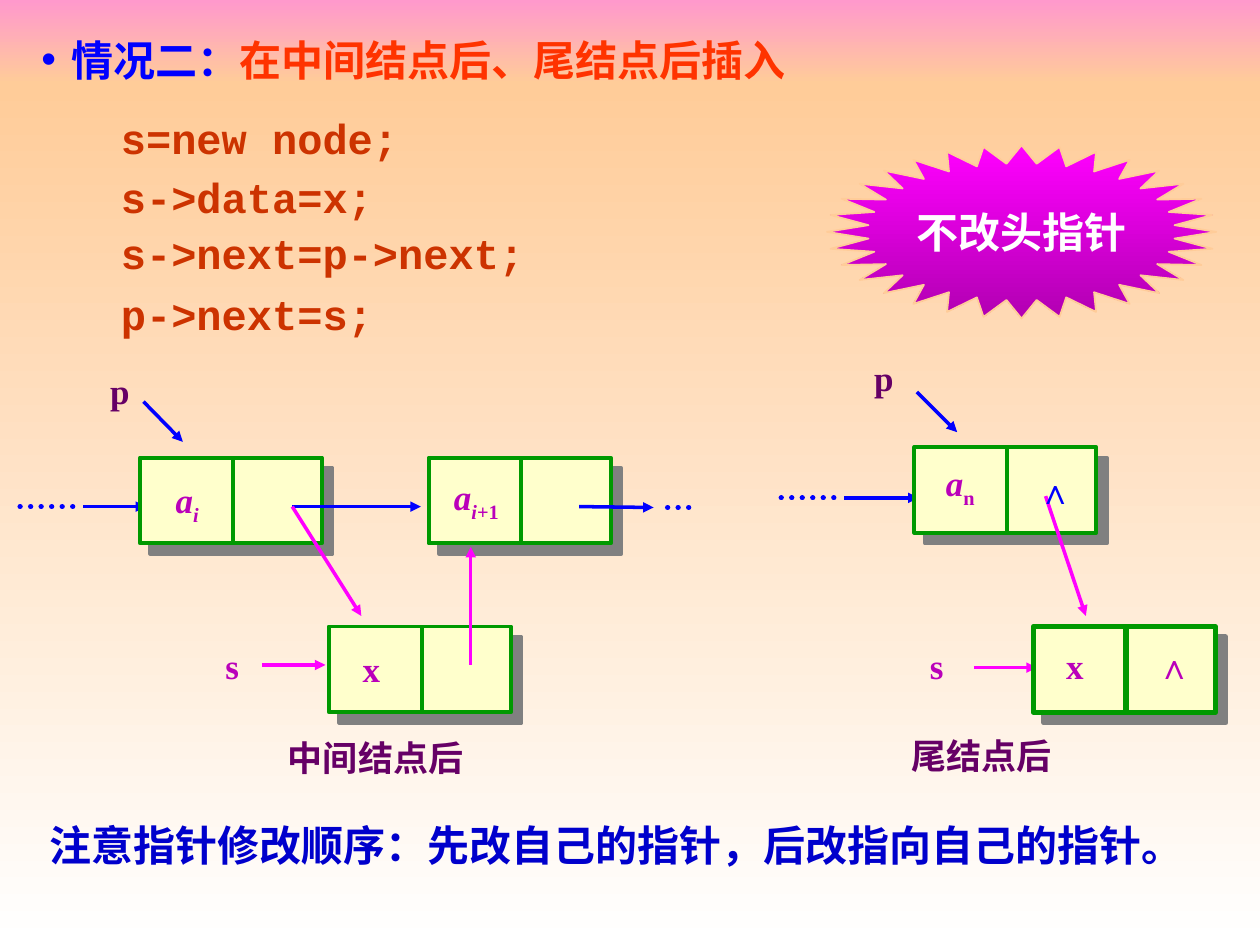
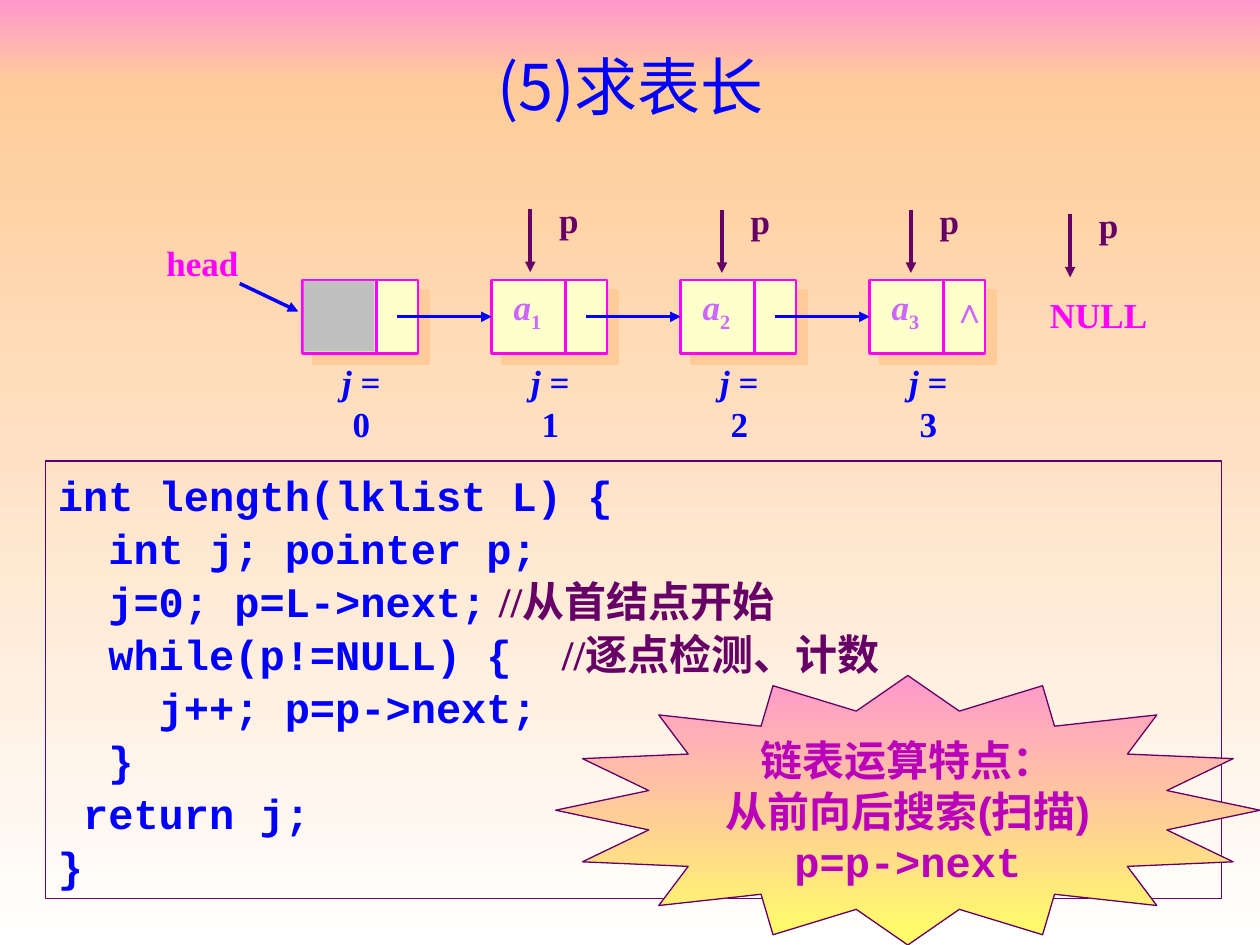
from lxml.etree import SubElement
from pptx import Presentation
from pptx.dml.color import RGBColor
from pptx.enum.dml import MSO_LINE
from pptx.enum.shapes import MSO_CONNECTOR, MSO_SHAPE as SHAPE
from pptx.enum.text import MSO_ANCHOR as ANCHOR, PP_ALIGN as ALIGN
from pptx.oxml.ns import qn
from pptx.util import Pt

# Colours
PINK = RGBColor(0xFF, 0x99, 0xCC)
PEACH = RGBColor(0xFF, 0xCC, 0x99)
WHITE = RGBColor(0xFF, 0xFF, 0xFF)
CREAM = RGBColor(0xFF, 0xFF, 0xCC)
YELLOW = RGBColor(0xFF, 0xFF, 0x66)
BLUE = RGBColor(0x00, 0x00, 0xFF)
DEEP_BLUE = RGBColor(0x00, 0x00, 0xCC)
RED = RGBColor(0xFF, 0x33, 0x00)
BRICK = RGBColor(0xCC, 0x33, 0x00)
GREEN = RGBColor(0x00, 0x99, 0x00)
MAGENTA = RGBColor(0xFF, 0x00, 0xFF)
DARK_MAGENTA = RGBColor(0xB2, 0x00, 0xB2)
PURPLE = RGBColor(0xBA, 0x00, 0xBA)
PLUM = RGBColor(0x66, 0x00, 0x66)
LILAC = RGBColor(0xCC, 0x66, 0xFF)
GREY = RGBColor(0x80, 0x80, 0x80)
SILVER = RGBColor(0xC0, 0xC0, 0xC0)

# Text styles: font, size, bold, italic, subscript
CJK = "Noto Sans CJK SC"
SERIF = "Times New Roman"
STYLES = {
    "title": (CJK, 36, False, False, False),
    "heading": ("Arial", 24, True, False, False),
    "code": ("Courier New", 24, True, False, False),
    "remark": (SERIF, 24, True, False, False),
    "label": (SERIF, 20, True, False, False),
    "variable": (SERIF, 20, True, True, False),
    "index": (SERIF, 20, True, False, True),
    "variable index": (SERIF, 20, True, True, True),
}


def draw_shape(slide, kind, left, top, width, height, fill=None, edge=None, weight=1, shadow=None):
    """A pair of colours as fill gives a gradient from top to bottom."""
    shape = slide.shapes.add_shape(kind, Pt(left), Pt(top), Pt(width), Pt(height))
    shape.shadow.inherit = False
    if fill is None:
        shape.fill.background()
    elif isinstance(fill, list):
        shape.fill.gradient()
        shape.fill.gradient_angle = 270
        for stop, colour in zip(shape.fill.gradient_stops, fill):
            stop.color.rgb = colour
    else:
        shape.fill.solid()
        shape.fill.fore_color.rgb = fill
    if edge is None:
        shape.line.fill.background()
    else:
        shape.line.color.rgb = edge
        shape.line.width = Pt(weight)
    if shadow is not None:
        effects = shape._element.spPr.find(qn("a:effectLst"))
        cast = SubElement(effects, qn("a:outerShdw"), blurRad="0", dist=str(Pt(8.5)),
                          dir="2700000", algn="ctr", rotWithShape="0")
        SubElement(cast, qn("a:srgbClr"), val=str(shadow))
    return shape


def draw_line(slide, x1, y1, x2, y2, colour, kind="arrow", weight=2):
    line = slide.shapes.add_connector(MSO_CONNECTOR.STRAIGHT, Pt(x1), Pt(y1), Pt(x2), Pt(y2))
    line.line.color.rgb = colour
    line.line.width = Pt(weight)
    properties = line._element.spPr
    outline = properties.find(qn("a:ln"))
    if kind == "dots":
        line.line.dash_style = MSO_LINE.ROUND_DOT
        outline.set("cap", "rnd")
    elif kind == "arrow":
        SubElement(outline, qn("a:tailEnd"), type="triangle")
    SubElement(properties, qn("a:effectLst"))
    return line


# Both slides with their background bands
deck = Presentation()
deck.slide_width, deck.slide_height = Pt(720), Pt(540)
insertion, length = [deck.slides.add_slide(deck.slide_layouts[6]) for _ in range(2)]
for slide in (insertion, length):
    draw_shape(slide, SHAPE.RECTANGLE, 0, 0, 720, 48, [PINK, PEACH])
    draw_shape(slide, SHAPE.RECTANGLE, 0, 48, 720, 492, [PEACH, WHITE])

# Insertion: incoming pointers, which run under the nodes
for x1, x2, y, colour in [(47.5, 83.5, 289.5, BLUE), (482.5, 525, 284.5, BLUE),
                          (150, 186, 380, MAGENTA), (556.5, 592.5, 381.5, MAGENTA)]:
    draw_line(insertion, x1, y, x2, y, colour)
for x1, x2, y in [(11.5, 42.5, 289.5), (381.5, 399.5, 290), (476.5, 440.5, 284.5)]:
    draw_line(insertion, x1, y, x2, y, BLUE, "dots", 3)

# Insertion: nodes of a data cell and a pointer cell
for left, top, weight in [(80, 261.5, 2.25), (245, 261.5, 2.25), (188, 358, 2.25),
                          (522.5, 255.5, 2.25), (590.5, 358, 3)]:
    for offset, width in [(0, 53), (53, 51)]:
        draw_shape(insertion, SHAPE.RECTANGLE, left + offset, top, width, 49,
                   CREAM, GREEN, weight, GREY)

# Insertion: outgoing pointers
for x1, y1, x2, y2, colour in [
    (167, 289.5, 240.5, 289.5, BLUE),
    (331, 289.5, 373.5, 290, BLUE),
    (82, 229.5, 104.5, 252.5, BLUE),
    (524, 224, 547, 247, BLUE),
    (269, 380, 269, 312.5, MAGENTA),
    (167, 289.5, 206.5, 352, MAGENTA),
    (597.5, 283.5, 620.5, 352, MAGENTA),
]:
    draw_line(insertion, x1, y1, x2, y2, colour)

head_note = draw_shape(insertion, SHAPE.STAR_32_POINT, 472.5, 83, 222.5, 99,
                       [MAGENTA, DARK_MAGENTA], PEACH)
head_note.adjustments[0] = 0.395

# Labels: slide, left, top, width, height, alignment, runs
LEFT, CENTER = ALIGN.LEFT, ALIGN.CENTER
labels = [
    (insertion, 16.5, 16, 675, 36, LEFT,
     [("情况二：", BLUE, "heading"), ("在中间结点后、尾结点后插入", RED, "heading")]),
    (insertion, 21, 464.5, 680, 36, LEFT,
     [("注意指针修改顺序：先改自己的指针，后改指向自己的指针。", DEEP_BLUE, "heading")]),
    (insertion, 157.5, 417.5, 119, 31, LEFT, [("中间结点后", PLUM, "label")]),
    (insertion, 513.5, 416, 98, 31, LEFT, [("尾结点后", PLUM, "label")]),
    (insertion, 93, 271.5, 28, 31, CENTER,
     [("a", PURPLE, "variable"), ("i", PURPLE, "variable index")]),
    (insertion, 251.5, 270, 41.5, 31, CENTER,
     [("a", PURPLE, "variable"), ("i", PURPLE, "variable index"), ("+1", PURPLE, "index")]),
    (insertion, 533, 262, 31.5, 31, CENTER,
     [("a", PURPLE, "variable"), ("n", PURPLE, "index")]),
    (length, 25, 15, 670.5, 67.5, CENTER, [("(5)求表长", BLUE, "title")]),
]
statements = ["s=new node;", "s->data=x;", "s->next=p->next;", "p->next=s;"]
for statement, top in zip(statements, [60.5, 94.5, 126.5, 161.5]):
    labels.append((insertion, 62, top, 330, 36, LEFT, [(statement, BRICK, "code")]))
for slide, text, left, top, width, colour in [
    (insertion, "s", 121.5, 365, 22.5, PURPLE),
    (insertion, "s", 524, 365, 22.5, PURPLE),
    (insertion, "x", 200, 366.5, 24.5, PURPLE),
    (insertion, "x", 602, 364.5, 24.5, PURPLE),
    (insertion, "∧", 654, 364.5, 26.5, PURPLE),
    (insertion, "∧", 586, 265, 26.5, BLUE),
    (insertion, "p", 55.5, 207.5, 26, PLUM),
    (insertion, "p", 492, 200, 26, PLUM),
    (length, "head", 88, 134.5, 55.5, MAGENTA),
    (length, "NULL", 592.5, 164, 70.5, MAGENTA),
    (length, "∧", 537, 161.5, 26.5, LILAC),
]:
    labels.append((slide, left, top, width, 31, CENTER, [(text, colour, "label")]))

# Length: list nodes, counter values and links
FIRST, PITCH, NODE_TOP = 173, 108, 160
nodes = []
for j in range(4):
    left = FIRST + PITCH * j
    nodes.append(draw_shape(length, SHAPE.RECTANGLE, left, NODE_TOP, 66, 42,
                            CREAM, MAGENTA, 1.5, PEACH))
    draw_line(length, left + 42, NODE_TOP, left + 42, NODE_TOP + 42, MAGENTA, "plain", 1.5)
    labels.append((length, left + 8, 214.5, 51, 31, CENTER,
                   [("j", BLUE, "variable"), (f" = {j}", BLUE, "label")]))
    if j > 0:
        labels.append((length, left + 5, 161.5, 31, 31, CENTER,
                       [("a", LILAC, "variable"), (str(j), LILAC, "index")]))
        link = draw_line(length, left - 54, 181, left, 181, BLUE)
        link.end_connect(nodes[j], 1)
draw_shape(length, SHAPE.RECTANGLE, FIRST + 0.5, NODE_TOP + 0.5, 40.5, 40.5, SILVER)
draw_line(length, 137, 162, 170.5, 178, BLUE)

# Length: the moving pointer
for x, y in [(303, 119.5), (412.5, 120), (520.5, 120), (611.5, 122.5)]:
    draw_line(length, x, y, x, y + 36, PLUM)
    labels.append((length, x + 9, y - 9.5, 26, 31, CENTER, [("p", PLUM, "label")]))

# Length: code and closing remark
code_box = draw_shape(length, SHAPE.RECTANGLE, 26, 263.5, 672, 250, None, PLUM, 0.75)
scan_note = draw_shape(length, SHAPE.STAR_16_POINT, 317.5, 386, 402.5, 154,
                       [PINK, YELLOW], PLUM, 0.75)
scan_note.adjustments[0] = 0.375

# Texts: shape, alignment, anchor, line spacing, paragraphs
texts = [
    (head_note, CENTER, ANCHOR.MIDDLE, 1, [[("不改头指针", WHITE, "remark")]]),
    (code_box, LEFT, ANCHOR.TOP, 1.05, [
        [("int length(lklist L) {", BLUE, "code")],
        [("  int j; pointer p;", BLUE, "code")],
        [("  j=0; p=L->next;\t", BLUE, "code"), ("//从首结点开始", PLUM, "remark")],
        [("  while(p!=NULL) {\t", BLUE, "code"), ("//逐点检测、计数", PLUM, "remark")],
        [("    j++; p=p->next;", BLUE, "code")],
        [("  }", BLUE, "code")],
        [(" return j;", BLUE, "code")],
        [("}", BLUE, "code")],
    ]),
    (scan_note, CENTER, ANCHOR.MIDDLE, 1, [
        [("链表运算特点：", PURPLE, "heading")],
        [("从前向后搜索(扫描)", PURPLE, "heading")],
        [("p=p->next", PURPLE, "code")],
    ]),
]
for slide, left, top, width, height, align, runs in labels:
    label = slide.shapes.add_textbox(Pt(left), Pt(top), Pt(width), Pt(height))
    texts.append((label, align, ANCHOR.MIDDLE, 1, [runs]))

for shape, align, anchor, spacing, paragraphs in texts:
    frame = shape.text_frame
    frame.word_wrap = align == LEFT
    frame.vertical_anchor = anchor
    for number, runs in enumerate(paragraphs):
        paragraph = frame.add_paragraph() if number else frame.paragraphs[0]
        paragraph.alignment = align
        paragraph.line_spacing = spacing
        if runs[0][0] == "情况二：":
            bullet = paragraph._p.get_or_add_pPr()
            bullet.set("marL", str(Pt(17)))
            bullet.set("indent", str(-Pt(17)))
            SubElement(bullet, qn("a:buFont"), typeface="Arial")
            SubElement(bullet, qn("a:buChar"), char="•")
        for text, colour, style in runs:
            font, size, bold, italic, subscript = STYLES[style]
            run = paragraph.add_run()
            run.text = text
            run.font.name, run.font.size = font, Pt(size)
            run.font.bold, run.font.italic = bold, italic
            run.font.color.rgb = colour
            properties = run._r.get_or_add_rPr()
            if subscript:
                properties.set("baseline", "-25000")
            if max(text) >= "一":
                SubElement(properties, qn("a:ea"), typeface=CJK)

deck.save("out.pptx")
